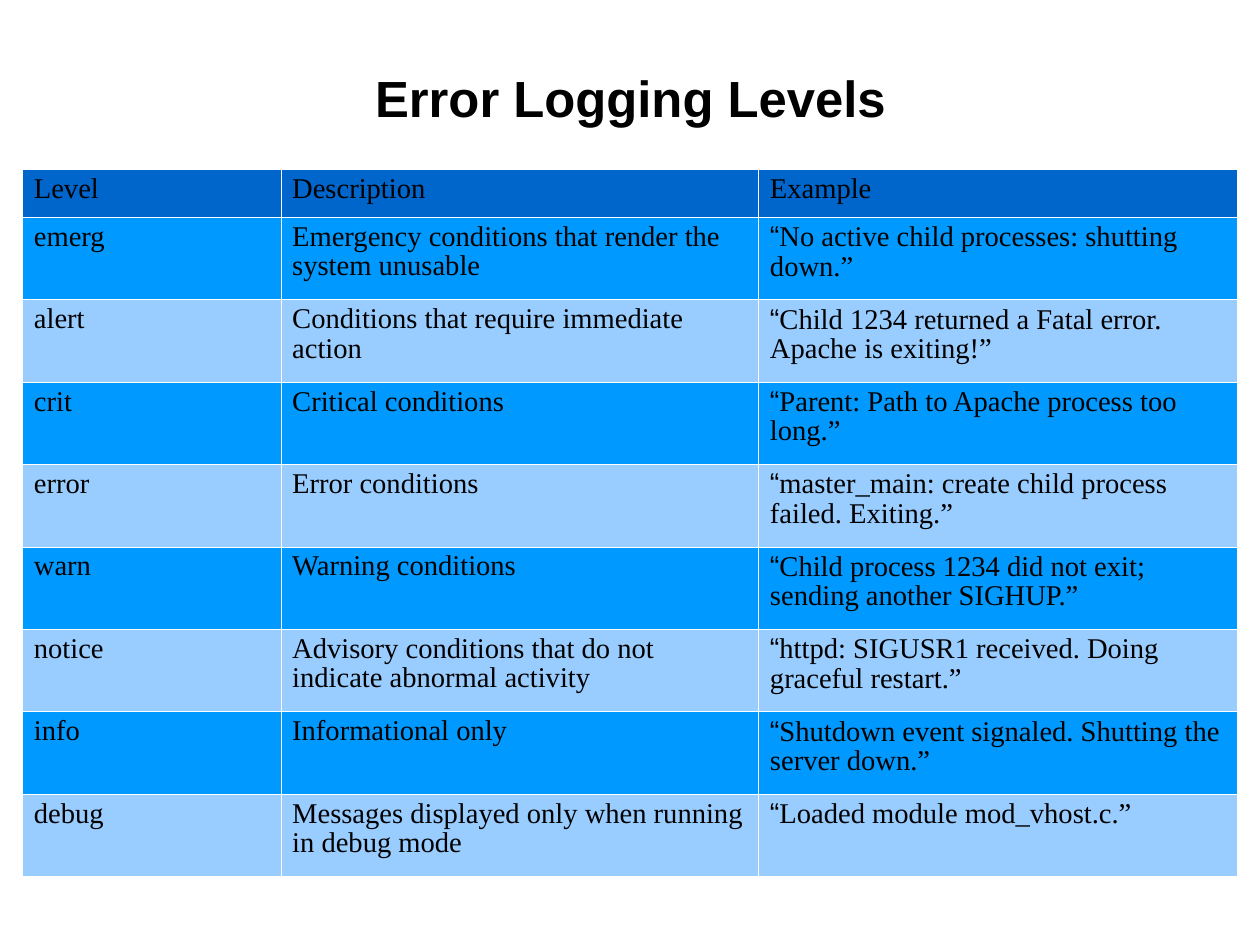
from lxml.etree import SubElement
from pptx import Presentation
from pptx.dml.color import RGBColor as RGB
from pptx.enum.text import MSO_ANCHOR as ANCHOR, MSO_AUTO_SIZE as AUTO, PP_ALIGN as ALIGN
from pptx.oxml.ns import qn
from pptx.util import Inches, Pt

CM_PER_INCH = 2.54
SLIDE_WIDTH, SLIDE_HEIGHT = 28 / CM_PER_INCH, 21 / CM_PER_INCH
COLORS = {
    "text": "000000",
    "header": "0066CC",
    "odd": "0099FF",
    "even": "99CCFF",
    "border": "FFFFFF",
}
HEADER = ("Level", "Description", "Example")
LEVELS = [
    ("emerg", "Emergency conditions that render the system unusable",
     "“No active child processes: shutting down.”"),
    ("alert", "Conditions that require immediate action",
     "“Child 1234 returned a Fatal error. Apache is exiting!”"),
    ("crit", "Critical conditions",
     "“Parent: Path to Apache process too long.”"),
    ("error", "Error conditions",
     "“master_main: create child process failed. Exiting.”"),
    ("warn", "Warning conditions",
     "“Child process 1234 did not exit; sending another SIGHUP.”"),
    ("notice", "Advisory conditions that do not indicate abnormal activity",
     "“httpd: SIGUSR1 received. Doing graceful restart.”"),
    ("info", "Informational only",
     "“Shutdown event signaled. Shutting the server down.”"),
    ("debug", "Messages displayed only when running in debug mode",
     "“Loaded module mod_vhost.c.”"),
]
COL_WIDTHS = (2.26, 4.18, 4.19)
HEADER_HEIGHT = 0.42


def set_font(font, name, size, bold=False):
    font.name, font.size, font.bold = name, Pt(size), bold
    font.color.rgb = RGB.from_string(COLORS["text"])


def add_title(s, text, left, top, width, height):
    sp = s.shapes.title
    sp.left, sp.top = Inches(left), Inches(top)
    sp.width, sp.height = Inches(width), Inches(height)
    tf = sp.text_frame
    tf.text = text
    tf.auto_size = AUTO.NONE
    tf.vertical_anchor = ANCHOR.BOTTOM
    p = tf.paragraphs[0]
    p.alignment = ALIGN.CENTER
    p.line_spacing = 0.93
    set_font(p.font, "Arial", 32, bold=True)


def add_borders(cell):
    tcPr = cell._tc.get_or_add_tcPr()
    for side in ("lnL", "lnR", "lnT", "lnB"):
        ln = SubElement(tcPr, qn(f"a:{side}"), w=str(Pt(0.06)))
        fill = SubElement(ln, qn("a:solidFill"))
        SubElement(fill, qn("a:srgbClr"), val=COLORS["border"])


def fill_cell(cell, text, color):
    add_borders(cell)
    cell.fill.solid()
    cell.fill.fore_color.rgb = RGB.from_string(COLORS[color])
    p = cell.text_frame.paragraphs[0]
    p.line_spacing = 0.93
    p.space_after = Pt(8)
    set_font(p.font, "Times New Roman", 18)
    if text.startswith("“"):
        r = p.add_run()
        r.text = "“"
        r.font.name = "Arial"
        text = text[1:]
    p.add_run().text = text


def add_level_table(s, left, top, width, height):
    rows = [HEADER, *LEVELS]
    frame = s.shapes.add_table(len(rows), len(HEADER), Inches(left), Inches(top),
                               Inches(width), Inches(height))
    table = frame.table
    table.first_row = table.horz_banding = False
    for column, col_width in zip(table.columns, COL_WIDTHS):
        column.width = Inches(col_width)
    level_height = (height - HEADER_HEIGHT) / len(LEVELS)
    for i, texts in enumerate(rows):
        table.rows[i].height = Inches(level_height if i else HEADER_HEIGHT)
        color = ("odd" if i % 2 else "even") if i else "header"
        for j, text in enumerate(texts):
            fill_cell(table.cell(i, j), text, color)


def main():
    prs = Presentation()
    prs.slide_width, prs.slide_height = Inches(SLIDE_WIDTH), Inches(SLIDE_HEIGHT)
    s = prs.slides.add_slide(prs.slide_layouts[5])
    add_title(s, "Error Logging Levels", 1.26, 0.58, 8.52, 0.6)
    table_width = sum(COL_WIDTHS)
    add_level_table(s, (SLIDE_WIDTH - table_width) / 2, 1.48, table_width, 6.19)
    prs.save("out.pptx")


if __name__ == "__main__":
    main()
